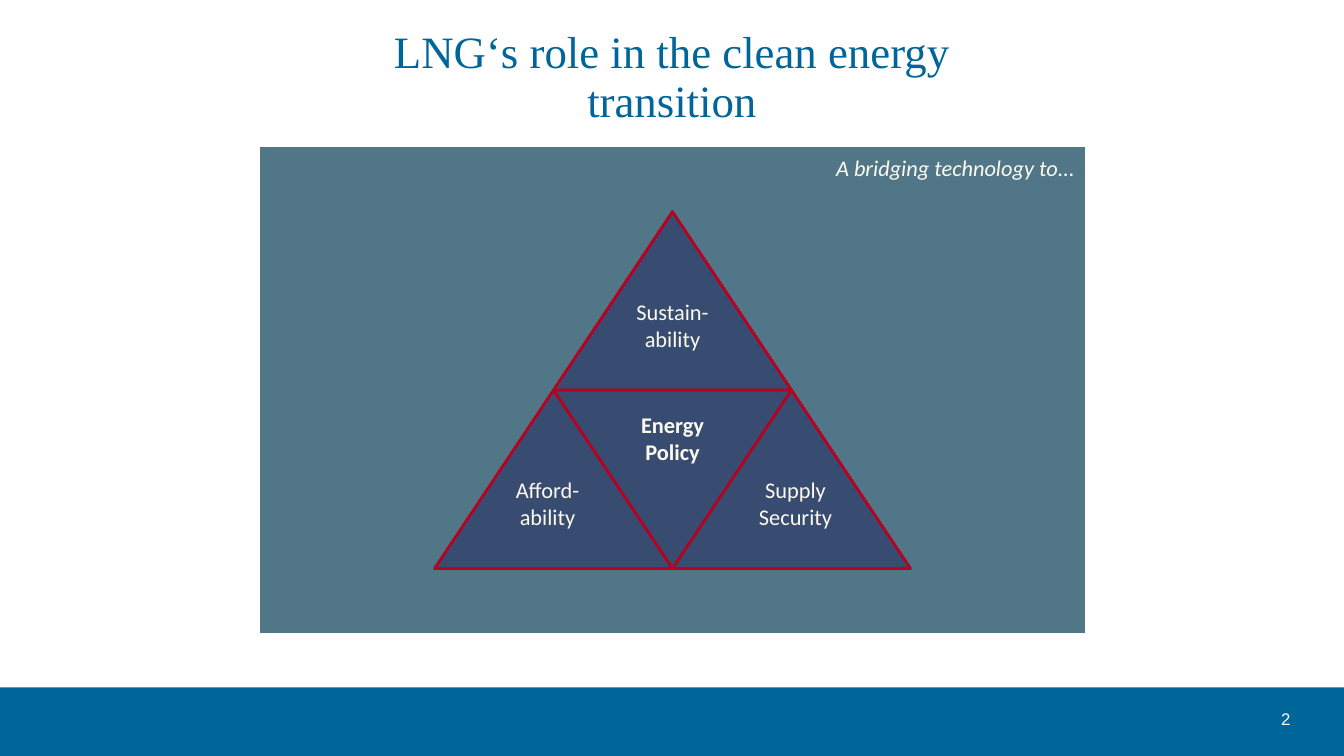
"""Build a slide on the role of LNG as an energy policy triangle."""
from pptx import Presentation, util as u
from pptx.dml.color import RGBColor
from pptx.enum import shapes, text

TITLE = "LNG‘s role in the clean energy transition"
SUBTITLE = "A bridging technology to..."
PAGE_NUMBER = "2"
LABELS = [
    ("Energy Policy", 6.67, 4.11, 1.09, True),
    ("Supply Security", 7.89, 4.76, 1.22, False),
    ("Sustain-ability", 6.67, 2.99, 1.22, False),
    ("Afford-ability", 5.43, 4.76, 1.22, False),
]
COLORS = {"blue": "006699", "panel": "507687", "triangle": "384B70",
          "edge": "B8001F", "cream": "FCFAEE", "white": "FFFFFF"}
WIDTH, HEIGHT = 13.33, 7.5
BAR_HEIGHT = 0.68
LABEL_HEIGHT = 0.47
TRIANGLE = (4.31, 2.1, 4.72, 3.54)
ALIGN, ANCHOR = text.PP_ALIGN, text.MSO_ANCHOR
KIND = shapes.MSO_SHAPE


def color(name):
    return RGBColor.from_string(COLORS[name])


def add_block(parent, kind, place, fill, edge=None):
    block = parent.add_shape(kind, *map(u.Inches, place))
    block.shadow.inherit = False
    block.fill.solid()
    block.fill.fore_color.rgb = color(fill)
    if edge:
        block.line.color.rgb = color(edge)
        block.line.width = u.Pt(2)
    else:
        block.line.fill.background()
    return block


def write(box, words, size, font, ink, align, anchor, margin=None, bold=False, italic=False):
    frame = box.text_frame
    frame.word_wrap = True
    frame.auto_size = text.MSO_AUTO_SIZE.NONE
    frame.vertical_anchor = anchor
    if margin is not None:
        frame.margin_left = frame.margin_right = u.Inches(margin)
        frame.margin_top = frame.margin_bottom = u.Inches(margin)
    frame.text = words
    para = frame.paragraphs[0]
    para.alignment = align
    span = para.runs[0].font
    span.size, span.name, span.bold, span.italic = u.Pt(size), font, bold, italic
    span.color.rgb = color(ink)
    return para


def add_text(parent, place, *args, **options):
    return write(parent.add_textbox(*map(u.Inches, place)), *args, **options)


def main():
    deck = Presentation()
    deck.slide_width, deck.slide_height = u.Inches(WIDTH), u.Inches(HEIGHT)
    page = deck.slides.add_slide(deck.slide_layouts[5])

    title = page.shapes.title
    title.left, title.top, title.width, title.height = map(u.Inches, (3.9, 0.6, 5.53, 0.66))
    para = write(title, TITLE, 32, "Times New Roman", "blue", ALIGN.CENTER, ANCHOR.BOTTOM, margin=0)
    para.line_spacing = 0.9

    add_block(page.shapes, KIND.RECTANGLE, (0, HEIGHT - BAR_HEIGHT, WIDTH, BAR_HEIGHT), "blue")
    add_block(page.shapes, KIND.RECTANGLE, (2.58, 1.46, 8.18, 4.82), "panel")
    add_text(page.shapes, (11.9, 6.98, 0.9, 0.31), PAGE_NUMBER, 12, "Arial", "white",
             ALIGN.RIGHT, ANCHOR.MIDDLE, margin=0)

    pyramid = page.shapes.add_group_shape().shapes
    left, top, width, height = TRIANGLE
    inner = (left + width / 4, top + height / 2, width / 2, height / 2)
    for place, turn in ((TRIANGLE, 0), (inner, 180)):
        block = add_block(pyramid, KIND.ISOSCELES_TRIANGLE, place, "triangle", "edge")
        block.rotation = turn
    for words, center, label_top, label_width, bold in LABELS:
        place = (center - label_width / 2, label_top, label_width, LABEL_HEIGHT)
        add_text(pyramid, place, words, 16, "Calibri", "cream",
                 ALIGN.CENTER, ANCHOR.MIDDLE, bold=bold)

    add_text(page.shapes, (7.66, 1.48, 3.1, 0.34), SUBTITLE, 16, "Calibri", "cream",
             ALIGN.RIGHT, ANCHOR.TOP, italic=True)
    deck.save("out.pptx")


if __name__ == "__main__":
    main()
